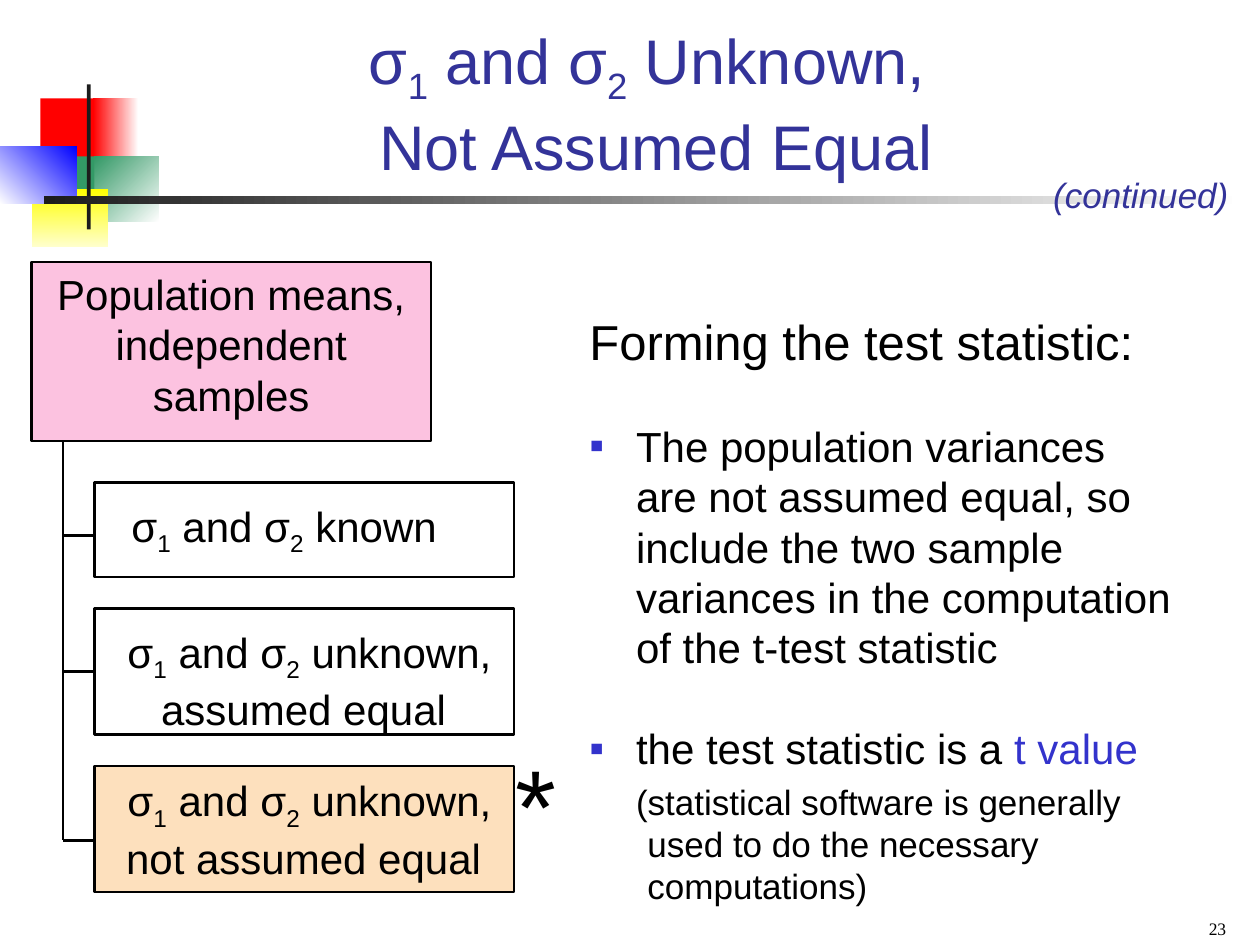
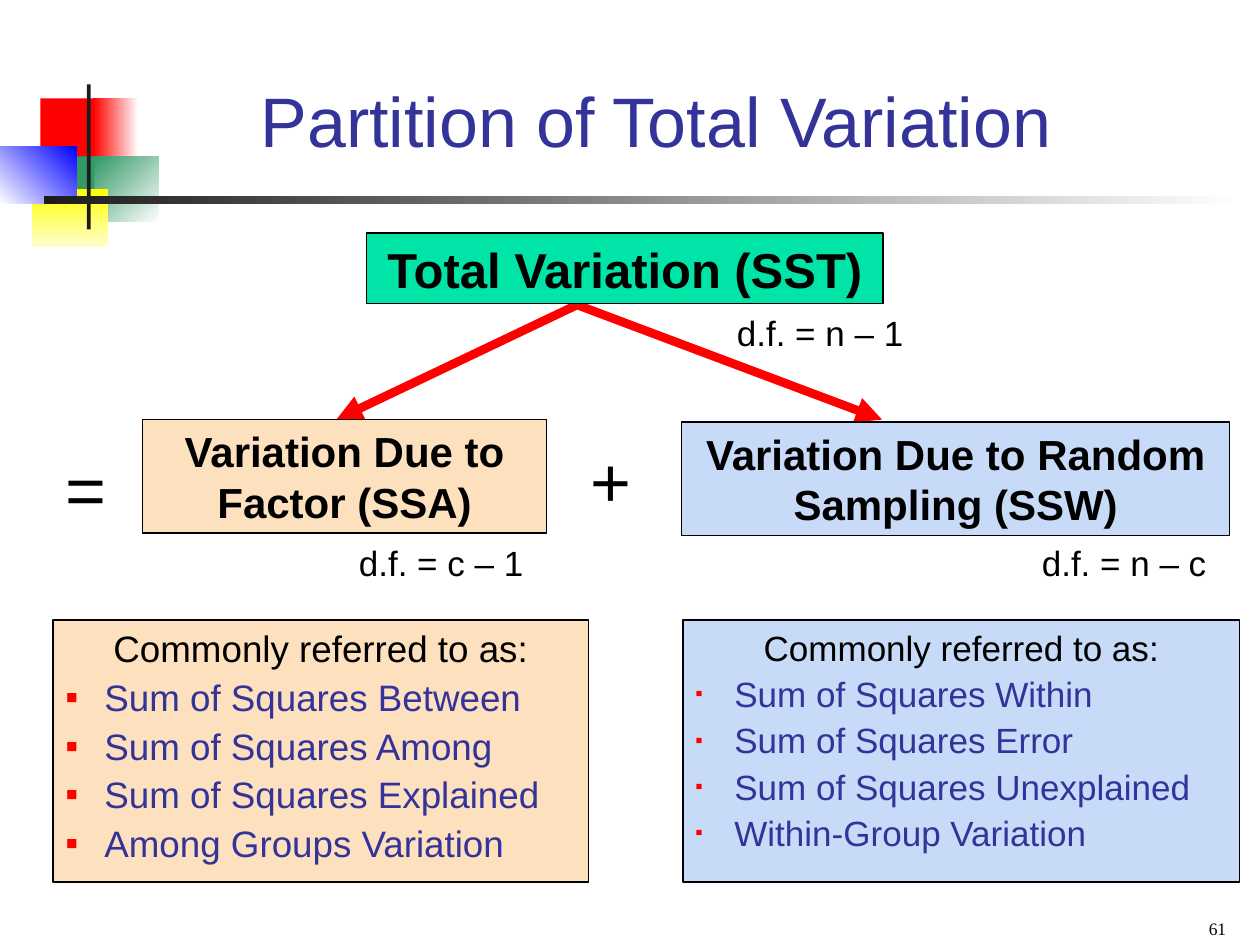
from pptx import Presentation
from pptx.dml.color import RGBColor
from pptx.enum.shapes import MSO_CONNECTOR as Connector, MSO_SHAPE as Shape
from pptx.enum.text import MSO_ANCHOR as Anchor, PP_ALIGN as Align
from pptx.oxml.ns import qn
from pptx.util import Inches, Pt
from lxml.etree import SubElement

BLACK, INK, NAVY, BLUE, RED = "000000", "1C1C1C", "333399", "3333CC", "FF0000"
WHITE, PINK, PEACH, SKY, MINT = "FFFFFF", "FCC2E0", "FDE0BD", "C7DAF7", "00E4A8"
GREEN, YELLOW, CREAM, PURE_BLUE = "339966", "FFFF00", "FFFFCC", "0000FF"

ORNAMENT = [
    ((0.32, 0.78, 0.48, 0.52), RED),
    ((0.74, 0.78, 0.36, 0.52), (WHITE, RED, 180)),
    ((0.75, 1.24, 0.51, 0.52), (WHITE, GREEN, 225)),
    ((0.43, 1.24, 0.32, 0.52), GREEN),
    ((0.25, 1.5, 0.61, 0.46), (YELLOW, CREAM, 90)),
    ((0, 1.16, 0.61, 0.46), (PURE_BLUE, WHITE, 135)),
    ((0.69, 0.67, 0.03, 1.15), INK),
    ((0.35, 1.56, 9.51, 0.06), (WHITE, INK, 180)),
]


def rgb(value):
    return RGBColor.from_string(value)


def set_frame(shape, margins=(0.1, 0.05, 0.1, 0.05), anchor=Anchor.TOP, wrap=True):
    frame = shape.text_frame
    frame.word_wrap = wrap
    frame.vertical_anchor = anchor
    frame.margin_left, frame.margin_top, frame.margin_right, frame.margin_bottom = map(Inches, margins)


def add_box(slide, box, fill=None, line=None, **frame_format):
    shape = slide.shapes.add_shape(Shape.RECTANGLE, *map(Inches, box))
    shape.shadow.inherit = False
    if fill is None:
        shape.fill.background()
    elif isinstance(fill, tuple):
        *colors, angle = fill
        shape.fill.gradient()
        shape.fill.gradient_angle = 360 - angle
        for stop, color in zip(shape.fill.gradient_stops, colors):
            stop.color.rgb = rgb(color)
    else:
        shape.fill.solid()
        shape.fill.fore_color.rgb = rgb(fill)
    if line:
        shape.line.color.rgb = rgb(BLACK)
        shape.line.width = Pt(line)
    else:
        shape.line.fill.background()
    set_frame(shape, **frame_format)
    return shape


def add_text_box(slide, box, **frame_format):
    shape = slide.shapes.add_textbox(*map(Inches, box))
    set_frame(shape, **frame_format)
    return shape


def add_line(slide, start, end, color=BLACK, width=1.5, arrow=False):
    line = slide.shapes.add_connector(Connector.STRAIGHT, *map(Inches, start + end))
    line.line.color.rgb = rgb(color)
    line.line.width = Pt(width)
    if arrow:
        SubElement(line.line._get_or_add_ln(), qn("a:tailEnd"), type="triangle")
    SubElement(line._element.spPr, qn("a:effectLst"))


def add_bullet(paragraph, color, percent):
    properties = paragraph._p.get_or_add_pPr()
    bullet_color = SubElement(properties, qn("a:buClr"))
    SubElement(bullet_color, qn("a:srgbClr"), val=color)
    SubElement(properties, qn("a:buSzPct"), val=str(percent * 1000))
    SubElement(properties, qn("a:buFont"), typeface="Arial")
    SubElement(properties, qn("a:buChar"), char="▪")


def write(shape, text, size=24, color=BLACK, font="Arial", bold=False, italic=False,
          align=Align.LEFT, before=0, spacing=None, margin=0, indent=0,
          bullet=None, bullet_percent=100):
    frame = shape.text_frame
    first = frame.paragraphs[0]
    paragraph = frame.add_paragraph() if first.runs else first
    if margin:
        properties = paragraph._p.get_or_add_pPr()
        properties.set("marL", str(Inches(margin)))
        properties.set("indent", str(Inches(indent)))
    if bullet:
        add_bullet(paragraph, bullet, bullet_percent)
    paragraph.alignment = align
    if before:
        paragraph.space_before = Pt(before)
    if spacing:
        paragraph.line_spacing = spacing
    for part, changes in [(text, {})] if isinstance(text, str) else text:
        for number, piece in enumerate(part.split("\n")):
            if number:
                paragraph.add_line_break()
            run = paragraph.add_run()
            run.text = piece
            run.font.name = font
            run.font.size = Pt(size)
            run.font.bold = bold
            run.font.italic = italic
            run.font.color.rgb = rgb(changes.get("color", color))
            if changes.get("subscript"):
                run._r.get_or_add_rPr().set("baseline", "-25000")


def sigmas(ending):
    subscript = {"subscript": True}
    return [("σ", {}), ("1", subscript), (" and σ", {}), ("2", subscript), (ending, {})]


def start_slide(presentation, title, number, title_height, **title_format):
    slide = presentation.slides.add_slide(presentation.slide_layouts[6])
    for box, fill in ORNAMENT:
        add_box(slide, box, fill)
    heading = add_text_box(slide, (1.25, 0.33, 7.91, title_height), anchor=Anchor.BOTTOM)
    write(heading, title, color=NAVY, align=Align.CENTER, **title_format)
    footer = add_text_box(slide, (7.5, 7.15, 2.33, 0.35), anchor=Anchor.BOTTOM)
    write(footer, str(number), size=10, font="Times New Roman", align=Align.RIGHT)
    return slide


def add_case_tree(slide, left, top):
    root = add_box(slide, (left, top, 3.17, 1.42), PINK, 1.5)
    write(root, "Population means, independent samples", align=Align.CENTER)
    trunk, branch = left + 0.25, left + 0.5
    cases = [
        (" known", 1.75, 0.75, 2.17, None, (0.27, 0.14, 0.59, 0)),
        (" unknown, assumed equal ", 2.75, 1, 3.25, None, (0.18, 0.14, 0.1, 0)),
        (" unknown, not assumed equal ", 4, 1, 4.59, PEACH, (0.18, 0.07, 0.1, 0)),
    ]
    for ending, offset, height, joint, fill, margins in cases:
        case = add_box(slide, (branch, top + offset, 3.33, height), fill, 1.5, margins=margins)
        write(case, sigmas(ending), align=Align.CENTER)
        add_line(slide, (trunk, top + joint), (branch, top + joint))
    add_line(slide, (trunk, top + 1.42), (trunk, top + 4.59))
    star = add_text_box(slide, (left + 3.67, top + 3.74, 0.67, 1.1))
    write(star, "*", size=60, align=Align.CENTER)


def add_test_notes(slide, box):
    notes = add_text_box(slide, box)
    bulleted = {"before": 28.8, "margin": 0.37, "indent": -0.37, "bullet": BLUE}
    write(notes, "Forming the test statistic:", size=28)
    write(notes, "The population variances\nare not assumed equal, so\ninclude the two sample\n"
          "variances in the computation\nof the t-test statistic", **bulleted)
    write(notes, [("the test statistic is a ", {}), ("t value", {"color": BLUE})], **bulleted)
    write(notes, "(statistical software is generally\nused to do the necessary\ncomputations)",
          size=20, before=4, margin=0.46, indent=-0.09)


def build_unequal_variances(presentation):
    slide = start_slide(presentation, sigmas(" Unknown, \nNot Assumed Equal"), 23, 1.17, size=36)
    continued = add_text_box(slide, (8.26, 1.33, 1.59, 0.44), wrap=False)
    write(continued, "(continued)", size=20, color=NAVY, italic=True)
    add_case_tree(slide, 0.25, 2.08)
    add_test_notes(slide, (4.58, 2.42, 4.83, 4.84))


def add_source(slide, box, text, fill, freedom, freedom_at, size=24, line=0.75):
    source = add_box(slide, box, fill, line)
    write(source, text, size=size, bold=True, align=Align.CENTER)
    label = add_text_box(slide, (*freedom_at, 1.58, 0.44))
    write(label, f"d.f. = {freedom}", size=20)


def add_other_names(slide, box, fill, names, size, bullet_percent):
    panel = add_box(slide, box, fill, 0.75)
    write(panel, "Commonly referred to as:", size=size, align=Align.CENTER)
    for name in names:
        write(panel, name, size=size, color=NAVY, before=size / 8, margin=0.31, indent=-0.31,
              bullet=RED, bullet_percent=bullet_percent)


def build_variation_partition(presentation):
    slide = start_slide(presentation, "Partition of Total Variation", 61, 1, size=40, spacing=1.1)
    for tip in (2.67, 7):
        add_line(slide, (4.58, 2.42), (tip, 3.33), RED, 5, arrow=True)
    add_source(slide, (2.91, 1.85, 4.1, 0.56), "Total Variation (SST)", MINT,
               "n – 1", (5.75, 2.42), size=28, line=1)
    add_source(slide, (1.13, 3.33, 3.21, 0.9), "Variation Due to Factor (SSA)", PEACH,
               "c – 1", (2.75, 4.25))
    add_source(slide, (5.41, 3.35, 4.35, 0.9), "Variation Due to Random Sampling (SSW)", SKY,
               "n – c", (8.17, 4.25))
    for sign, left, top in (("=", 0.42, 3.49), ("+", 4.59, 3.42)):
        write(add_text_box(slide, (left, top, 0.91, 0.76)), sign, size=40)
    add_other_names(slide, (0.42, 4.92, 4.25, 2.08), PEACH, [
        "Sum of Squares Between", "Sum of Squares Among",
        "Sum of Squares Explained", "Among Groups Variation"], 21, 100)
    add_other_names(slide, (5.42, 4.92, 4.42, 2.08), SKY, [
        "Sum of Squares Within", "Sum of Squares Error",
        "Sum of Squares Unexplained", "Within-Group Variation"], 20, 60)


def main():
    presentation = Presentation()
    presentation.slide_width, presentation.slide_height = Inches(10), Inches(7.5)
    build_unequal_variances(presentation)
    build_variation_partition(presentation)
    presentation.save("out.pptx")


if __name__ == "__main__":
    main()
